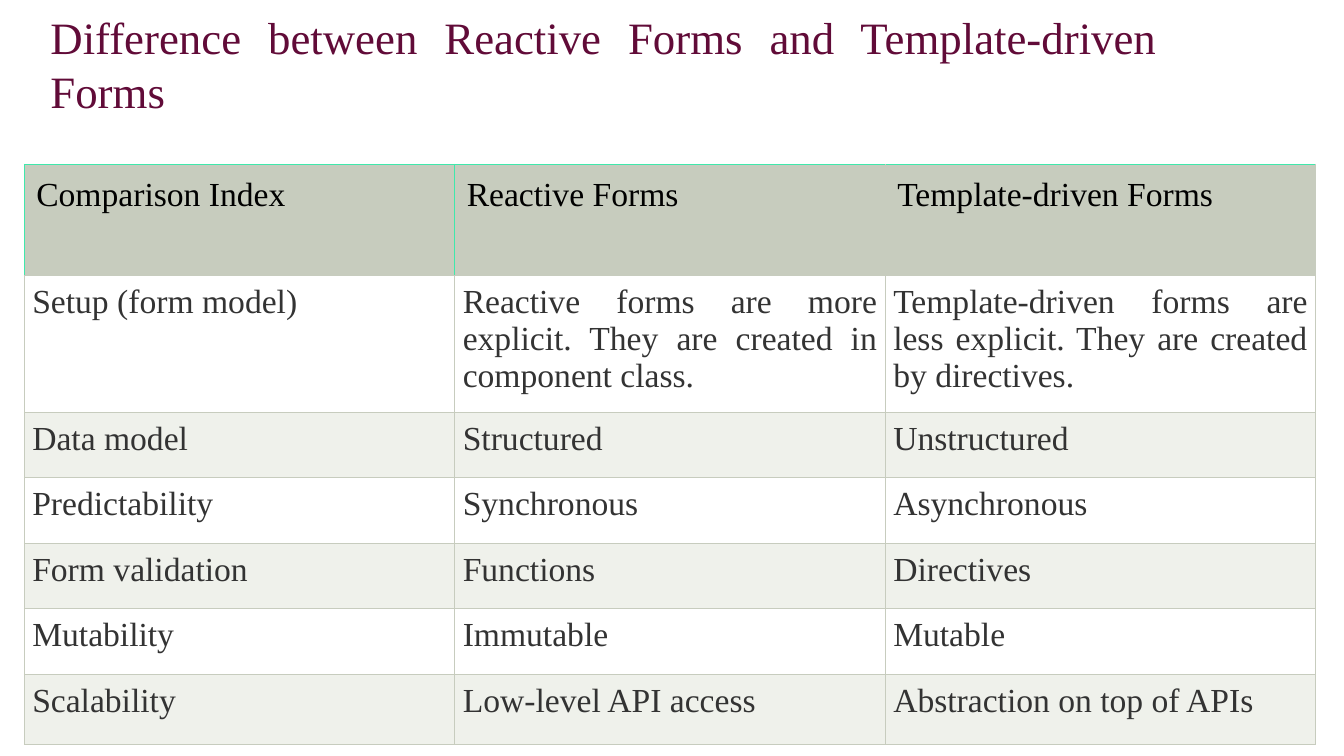
"""Build a slide comparing reactive and template-driven forms in a table."""
from lxml.etree import SubElement
from pptx import Presentation
from pptx.dml.color import RGBColor
from pptx.enum.text import MSO_ANCHOR as Anchor, MSO_AUTO_SIZE as AutoSize, PP_ALIGN as Align
from pptx.oxml.ns import qn
from pptx.util import Inches, Pt

TITLE = "Difference between Reactive Forms and Template-driven Forms"
ROWS = [
    ("Comparison Index", "Reactive Forms", "Template-driven Forms"),
    ("Setup (form model)",
     "Reactive forms are more explicit. They are created in component class.",
     "Template-driven forms are less explicit. They are created by directives."),
    ("Data model", "Structured", "Unstructured"),
    ("Predictability", "Synchronous", "Asynchronous"),
    ("Form validation", "Functions", "Directives"),
    ("Mutability", "Immutable", "Mutable"),
    ("Scalability", "Low-level API access", "Abstraction on top of APIs"),
]
ROW_HEIGHTS = [1.1, 1.34] + [0.65] * 4 + [0.7]
COLUMN_WIDTH = 4.27
TABLE_LEFT, TABLE_TOP = 0.24, 1.63

FONT = "Times New Roman"
PLUM = RGBColor(0x61, 0x0B, 0x38)
BLACK = RGBColor(0x00, 0x00, 0x00)
CHARCOAL = RGBColor(0x33, 0x33, 0x33)
WHITE = RGBColor(0xFF, 0xFF, 0xFF)
PALE = RGBColor(0xEF, 0xF1, 0xEB)
SAGE = RGBColor(0xC7, 0xCC, 0xBE)
MINT = RGBColor(0x40, 0xE8, 0xAC)


def write(frame, text, size=24, color=CHARCOAL, align=Align.JUSTIFY):
    frame.word_wrap = True
    para = frame.paragraphs[0]
    para.alignment = align
    span = para.add_run()
    span.text = text
    span.font.name = FONT
    span.font.size = Pt(size)
    span.font.bold = False
    span.font.color.rgb = color


def set_borders(cell, colors):
    properties = cell._tc.get_or_add_tcPr()
    for index, (side, color) in enumerate(zip("LRTB", colors)):
        line = SubElement(properties, qn(f"a:ln{side}"), w=str(Pt(0.75)))
        fill = SubElement(line, qn("a:solidFill"))
        SubElement(fill, qn("a:srgbClr"), val=str(color))
        properties.insert(index, line)


def add_title(page):
    box = page.shapes.title
    box.left, box.top, box.width, box.height = map(Inches, (0.4, 0.05, 11.18, 1.18))
    frame = box.text_frame
    frame.vertical_anchor = Anchor.TOP
    write(frame, TITLE, size=32, color=PLUM)
    frame.auto_size = AutoSize.SHAPE_TO_FIT_TEXT


def add_comparison(page):
    columns = len(ROWS[0])
    table = page.shapes.add_table(
        len(ROWS), columns, Inches(TABLE_LEFT), Inches(TABLE_TOP),
        Inches(COLUMN_WIDTH * columns), Inches(sum(ROW_HEIGHTS))).table
    table.first_row = table.horz_banding = False
    for column in table.columns:
        column.width = Inches(COLUMN_WIDTH)
    for r, (texts, height) in enumerate(zip(ROWS, ROW_HEIGHTS)):
        table.rows[r].height = Inches(height)
        header = r == 0
        for c, text in enumerate(texts):
            cell = table.cell(r, c)
            inset = Inches(0.12 if header else 0.08)
            cell.margin_left = cell.margin_right = inset
            cell.margin_top = cell.margin_bottom = inset
            cell.fill.solid()
            cell.fill.fore_color.rgb = SAGE if header else (PALE, WHITE)[r % 2]
            left = MINT if header and c < 2 else SAGE
            right = MINT if header and c < 1 else SAGE
            set_borders(cell, (left, right, MINT if header else SAGE, SAGE))
            write(cell.text_frame, text, color=BLACK if header else CHARCOAL,
                  align=Align.LEFT if header else Align.JUSTIFY)


deck = Presentation()
deck.slide_width, deck.slide_height = Inches(13.33), Inches(7.5)
page = deck.slides.add_slide(deck.slide_layouts[5])
add_comparison(page)
add_title(page)
deck.save("out.pptx")
